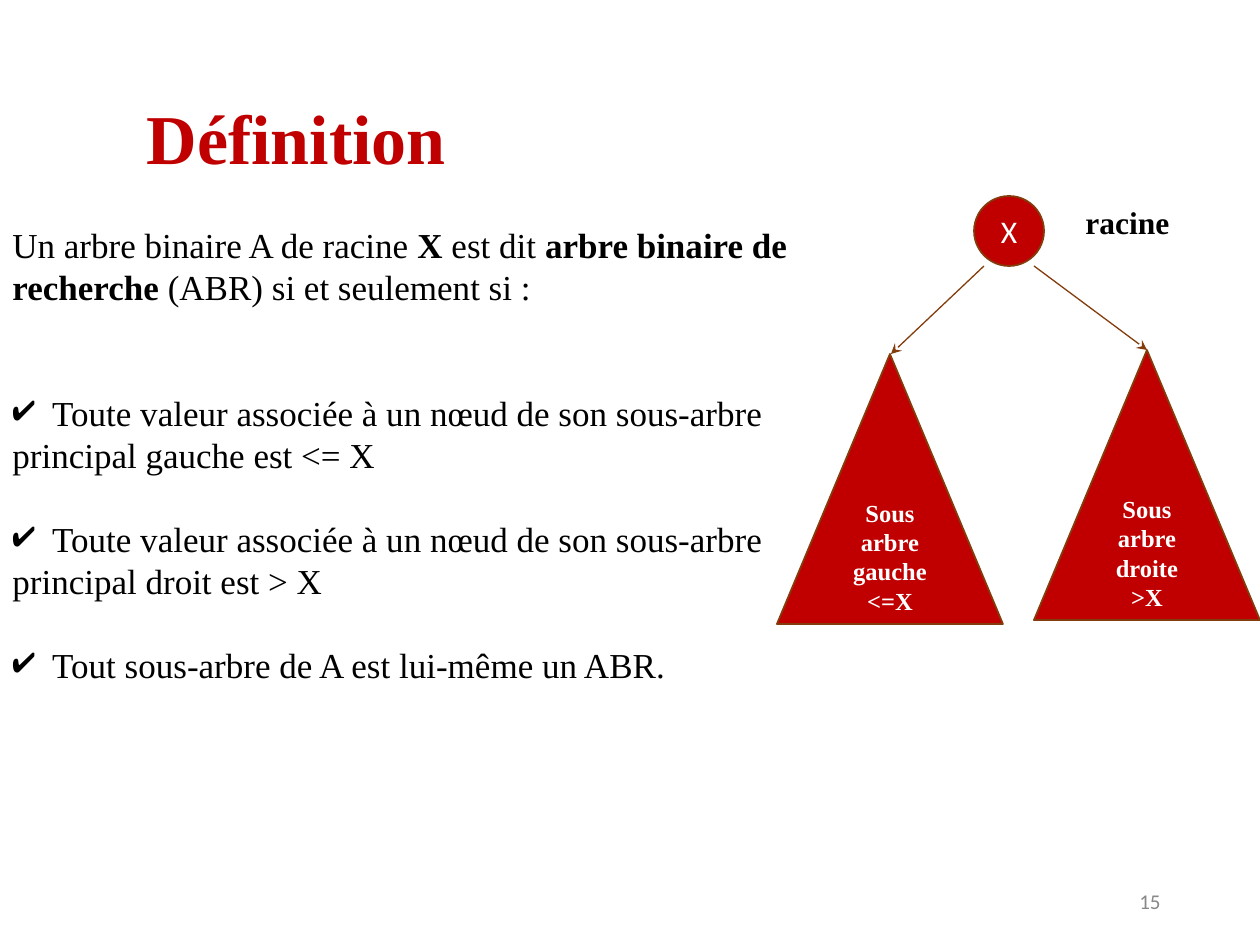
from dataclasses import dataclass

from lxml import etree
from pptx import Presentation
from pptx.dml.color import RGBColor
from pptx.enum.shapes import MSO_CONNECTOR, MSO_SHAPE
from pptx.enum.text import MSO_ANCHOR, MSO_AUTO_SIZE, PP_ALIGN
from pptx.oxml.ns import qn
from pptx.util import Pt

LEFT, CENTER, RIGHT = PP_ALIGN.LEFT, PP_ALIGN.CENTER, PP_ALIGN.RIGHT
TOP, MIDDLE = MSO_ANCHOR.TOP, MSO_ANCHOR.MIDDLE
OVAL, TRIANGLE = MSO_SHAPE.OVAL, MSO_SHAPE.ISOSCELES_TRIANGLE
STRAIGHT = MSO_CONNECTOR.STRAIGHT
PX = 914400 / 126


@dataclass(frozen=True)
class Theme:
    red: RGBColor = RGBColor(0xC0, 0x00, 0x00)
    brown: RGBColor = RGBColor(0x83, 0x3C, 0x0B)
    black: RGBColor = RGBColor(0x00, 0x00, 0x00)
    white: RGBColor = RGBColor(0xFF, 0xFF, 0xFF)
    gray: RGBColor = RGBColor(0x88, 0x88, 0x88)
    serif: str = "Times New Roman"
    sans: str = "Calibri"
    title: int = 40
    body: int = 20
    pitch: int = 24
    label: int = 18
    tree: int = 14
    page: int = 12


T = Theme()


def emu(*vals):
    return [round(v * PX) for v in vals]


def write(shape, text, size, color, font=T.serif, bold=False,
          align=LEFT, anchor=TOP):
    """Put one styled line of text into a shape."""
    frame = shape.text_frame
    frame.text = text
    frame.word_wrap = True
    frame.auto_size = MSO_AUTO_SIZE.NONE
    frame.vertical_anchor = anchor
    par = frame.paragraphs[0]
    par.alignment = align
    style = par.runs[0].font
    style.name, style.size, style.bold = font, Pt(size), bold
    style.color.rgb = color


prs = Presentation()
prs.slide_width, prs.slide_height = emu(1260, 945)
slide = prs.slides.add_slide(prs.slide_layouts[5])
shapes = slide.shapes

# Title
title = shapes.title
title.left, title.top, title.width, title.height = emu(134, 88, 874, 97)
write(title, "Définition", T.title, T.red, bold=True)

# Definition and its conditions
body = shapes.add_textbox(*emu(0, 217, 816, 575)).text_frame
body.word_wrap = True
intro = [
    ("Un arbre binaire A de racine", False),
    (" X", True),
    (" est dit ", False),
    ("arbre binaire de recherche", True),
    (" (ABR) si et seulement si :", False),
]
rules = [
    "Toute valeur associée à un nœud de son sous-arbre principal gauche est <= X",
    "Toute valeur associée à un nœud de son sous-arbre principal droit est > X",
    "Tout sous-arbre de A est lui-même un ABR.",
]
for text, bold in intro:
    run = body.paragraphs[0].add_run()
    run.text = text
    run.font.bold = bold
for i, rule in enumerate(rules):
    par = body.add_paragraph()
    par.text = "\N{NO-BREAK SPACE} " + rule
    par.space_before = Pt(T.pitch if i else 2 * T.pitch)
    props = par._p.get_or_add_pPr()
    props.set("marL", "0")
    props.set("indent", str(emu(-18)[0]))
    etree.SubElement(props, qn("a:buChar")).set("char", "✔")
for par in body.paragraphs:
    par.line_spacing = Pt(T.pitch)
    for run in par.runs:
        run.font.name, run.font.size = T.serif, Pt(T.body)
        run.font.color.rgb = T.black

# Root and subtrees
nodes = [
    (OVAL, (974, 196, 70, 70), "X", T.label, T.sans, False),
    (TRIANGLE, (777, 354, 226, 270), "Sous arbre gauche <=X", T.tree, T.serif, True),
    (TRIANGLE, (1034, 350, 226, 270), "Sous arbre droite >X", T.tree, T.serif, True),
]
for kind, box, text, size, font, bold in nodes:
    node = shapes.add_shape(kind, *emu(*box))
    node.shadow.inherit = False
    node.fill.solid()
    node.fill.fore_color.rgb = T.red
    node.line.color.rgb = T.brown
    node.line.width = Pt(1)
    write(node, text, size, T.white, font, bold, CENTER, MIDDLE)

# Branches
for ends in [(984, 266, 891, 354), (1034, 266, 1147, 350)]:
    branch = shapes.add_connector(STRAIGHT, *emu(*ends))
    branch.line.color.rgb = T.brown
    branch.line.width = Pt(0.75)
    etree.SubElement(branch.line._get_or_add_ln(), qn("a:tailEnd")).set("type", "stealth")
    etree.SubElement(branch._element.spPr, qn("a:effectLst"))

# Root label and page number
label = shapes.add_textbox(*emu(1053, 197, 149, 50))
write(label, "racine", T.label, T.black, bold=True, align=CENTER)
page = shapes.add_textbox(*emu(890, 876, 283, 50))
write(page, "15", T.page, T.gray, T.sans, align=RIGHT, anchor=MIDDLE)

prs.save("out.pptx")
